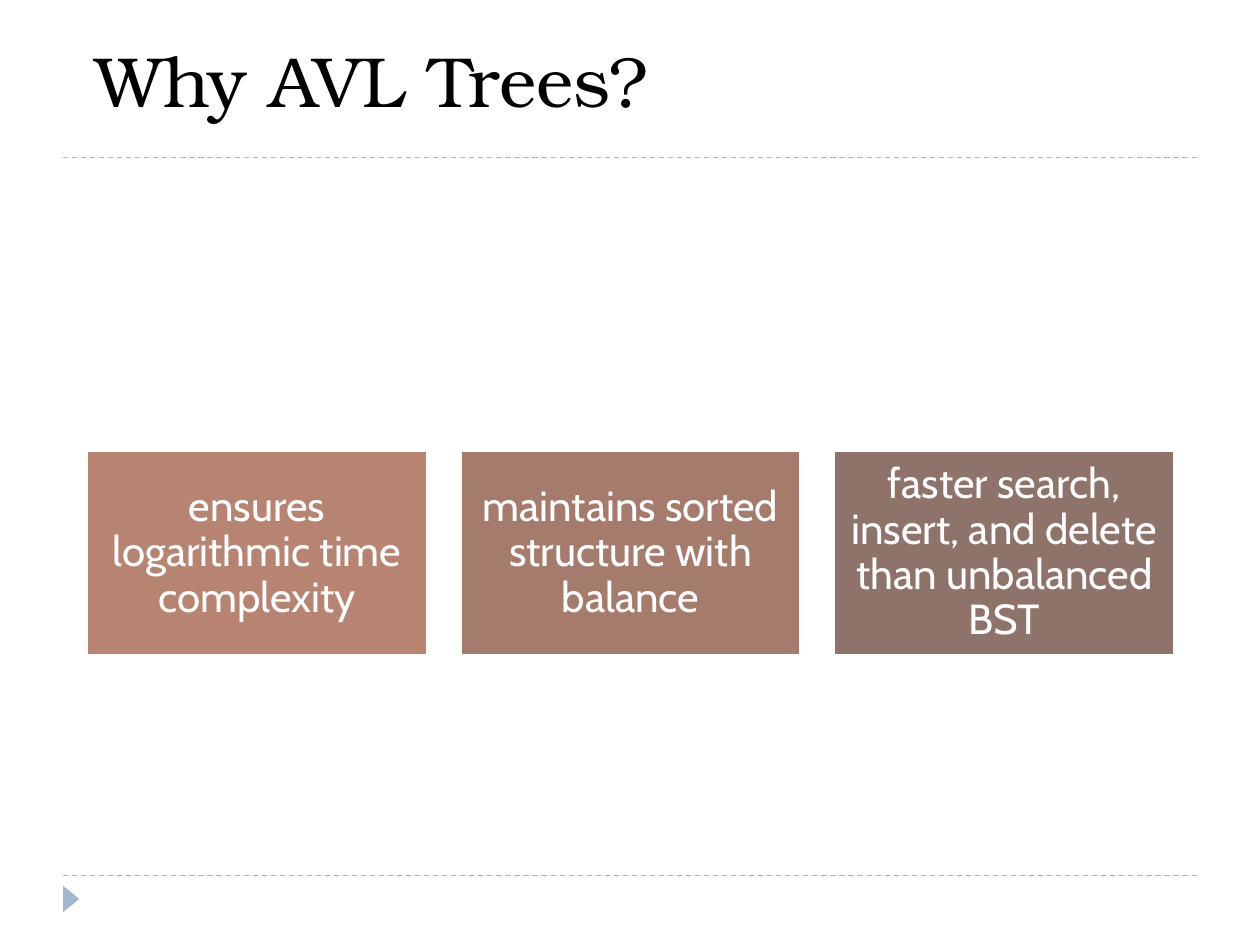
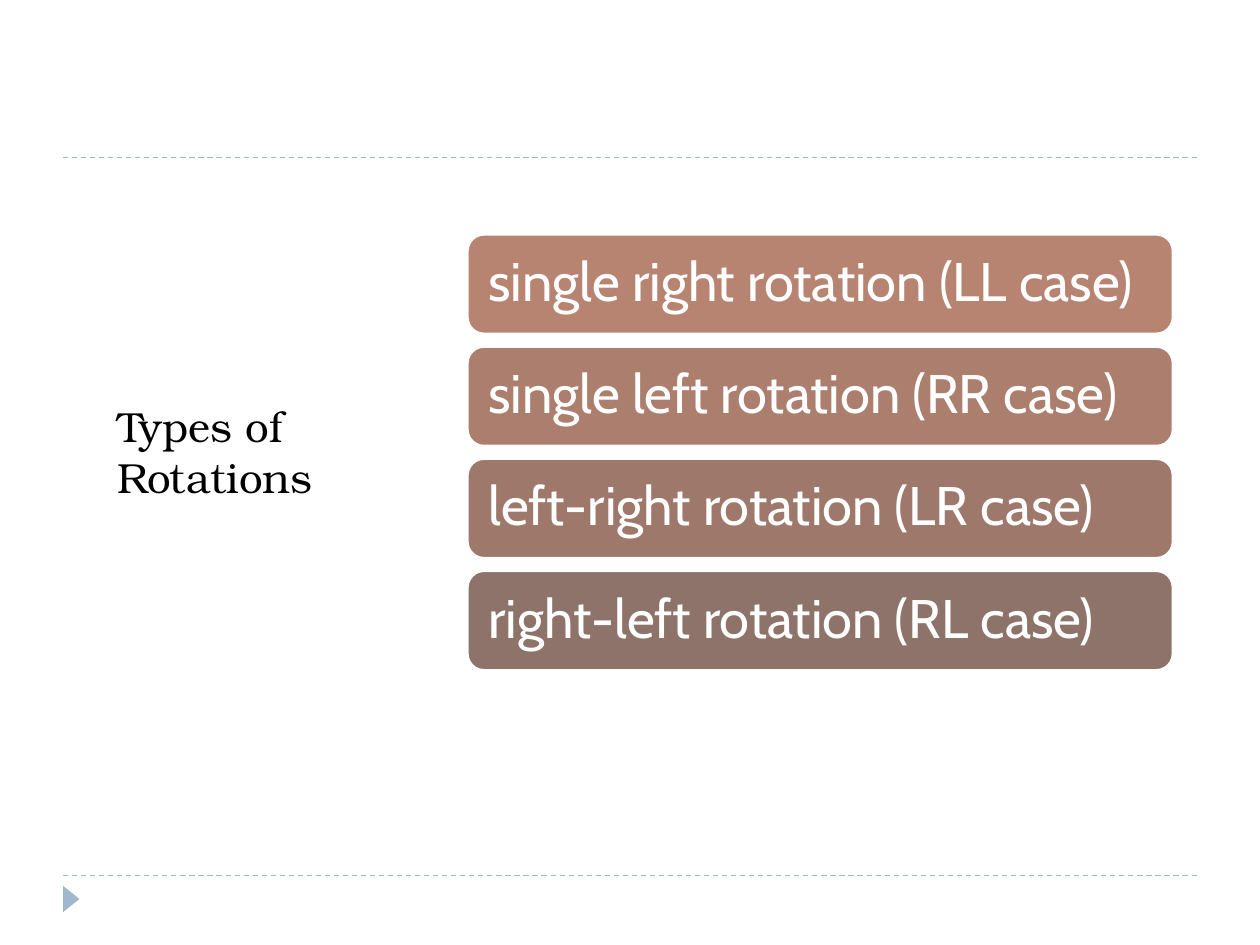
from dataclasses import dataclass

from lxml import etree
from pptx import Presentation, util as u
from pptx.dml.color import RGBColor
from pptx.enum import dml, shapes, text as te
from pptx.oxml import ns

SLIDES = [
    {
        "title": "Why AVL Trees?",
        "title_at": (0.69, 0.08, 8.62, 1.09),
        "title_size": 40.5,
        "boxes": [
            ("ensures logarithmic time complexity", "B88472"),
            ("maintains sorted structure with balance", "A57B6C"),
            ("faster search, insert, and delete than unbalanced BST", "8E736A"),
        ],
        "first_at": (0.69, 3.58, 2.7, 1.62),
        "step": (2.965, 0),
        "geometry": shapes.MSO_SHAPE.RECTANGLE,
        "format": {"size": 24, "align": te.PP_ALIGN.CENTER, "inset": (0.1, 0.1)},
    },
    {
        "title": "Types of Rotations",
        "title_at": (0.86, 1.35, 2.46, 4.46),
        "title_size": 24,
        "boxes": [
            ("single right rotation (LL case)", "B88472"),
            ("single left rotation (RR case)", "AB7E6E"),
            ("left-right rotation (LR case)", "9E786B"),
            ("right-left rotation (RL case)", "8E736A"),
        ],
        "first_at": (3.71, 1.86, 5.6, 0.79),
        "step": (0, 0.89),
        "geometry": shapes.MSO_SHAPE.ROUNDED_RECTANGLE,
        "format": {"size": 31, "align": te.PP_ALIGN.LEFT, "inset": (0.13, 0.13)},
    },
]


@dataclass(frozen=True)
class Theme:
    ink: str = "000000"
    paper: str = "FFFFFF"
    accent: str = "9FB8CD"
    title_font: str = "TeX Gyre Bonum"
    body_font: str = "Cabin"
    rule_width: float = 0.75
    border_width: float = 1.5
    rule_tops: tuple = (6.95, 1.25)
    rule_ends: tuple = (0.5, 9.5)


THEME = Theme()


def rgb(color):
    return RGBColor.from_string(color)


def inches(values):
    return [u.Inches(v) for v in values]


def write(sp, content, *, size, font, color, align=te.PP_ALIGN.LEFT,
          inset=(0.07, 0.04), spacing=1.0):
    tf = sp.text_frame
    tf.word_wrap = True
    tf.vertical_anchor = te.MSO_ANCHOR.MIDDLE
    tf.margin_left = tf.margin_right = u.Inches(inset[0])
    tf.margin_top = tf.margin_bottom = u.Inches(inset[1])
    p = tf.paragraphs[0]
    p.alignment = align
    p.line_spacing = spacing
    r = p.add_run()
    r.text = content
    r.font.size = u.Pt(size)
    r.font.name = font
    r.font.color.rgb = rgb(color)


def add_filled(s, geometry, at, fill, border=None):
    sp = s.shapes.add_shape(geometry, *inches(at))
    sp.shadow.inherit = False
    sp.fill.solid()
    sp.fill.fore_color.rgb = rgb(fill)
    if border:
        sp.line.color.rgb = rgb(border)
        sp.line.width = u.Pt(THEME.border_width)
    else:
        sp.line.fill.background()
    return sp


def add_frame(s):
    left, right = THEME.rule_ends
    for top in THEME.rule_tops:
        rule = s.shapes.add_connector(
            shapes.MSO_CONNECTOR.STRAIGHT, *inches((left, top, right, top)))
        rule.line.color.rgb = rgb(THEME.accent)
        rule.line.width = u.Pt(THEME.rule_width)
        rule.line.dash_style = dml.MSO_LINE.DASH
        etree.SubElement(rule._element.spPr, ns.qn("a:effectLst"))
    marker = add_filled(s, shapes.MSO_SHAPE.ISOSCELES_TRIANGLE,
                        (0.46, 7.07, 0.21, 0.13), THEME.accent)
    marker.rotation = 90


def add_boxes(s, content):
    left, top, width, height = content["first_at"]
    dx, dy = content["step"]
    for i, (label, fill) in enumerate(content["boxes"]):
        at = (left + i * dx, top + i * dy, width, height)
        sp = add_filled(s, content["geometry"], at, fill, THEME.paper)
        write(sp, label, font=THEME.body_font, color=THEME.paper,
              spacing=0.9, **content["format"])


def main():
    prs = Presentation()
    prs.slide_width, prs.slide_height = inches((10, 7.5))
    for content in SLIDES:
        s = prs.slides.add_slide(prs.slide_layouts[6])
        add_frame(s)
        title = s.shapes.add_textbox(*inches(content["title_at"]))
        write(title, content["title"], size=content["title_size"],
              font=THEME.title_font, color=THEME.ink)
        add_boxes(s, content)
    prs.save("out.pptx")


if __name__ == "__main__":
    main()
